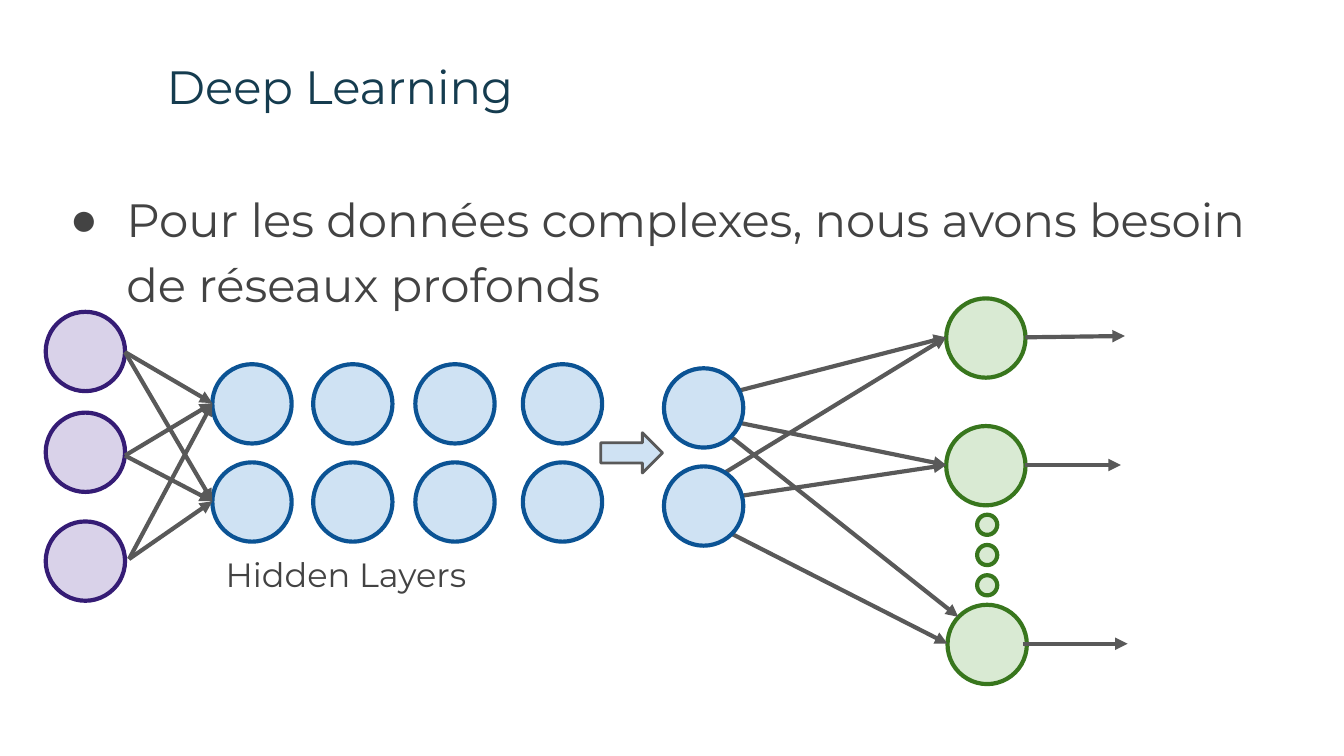
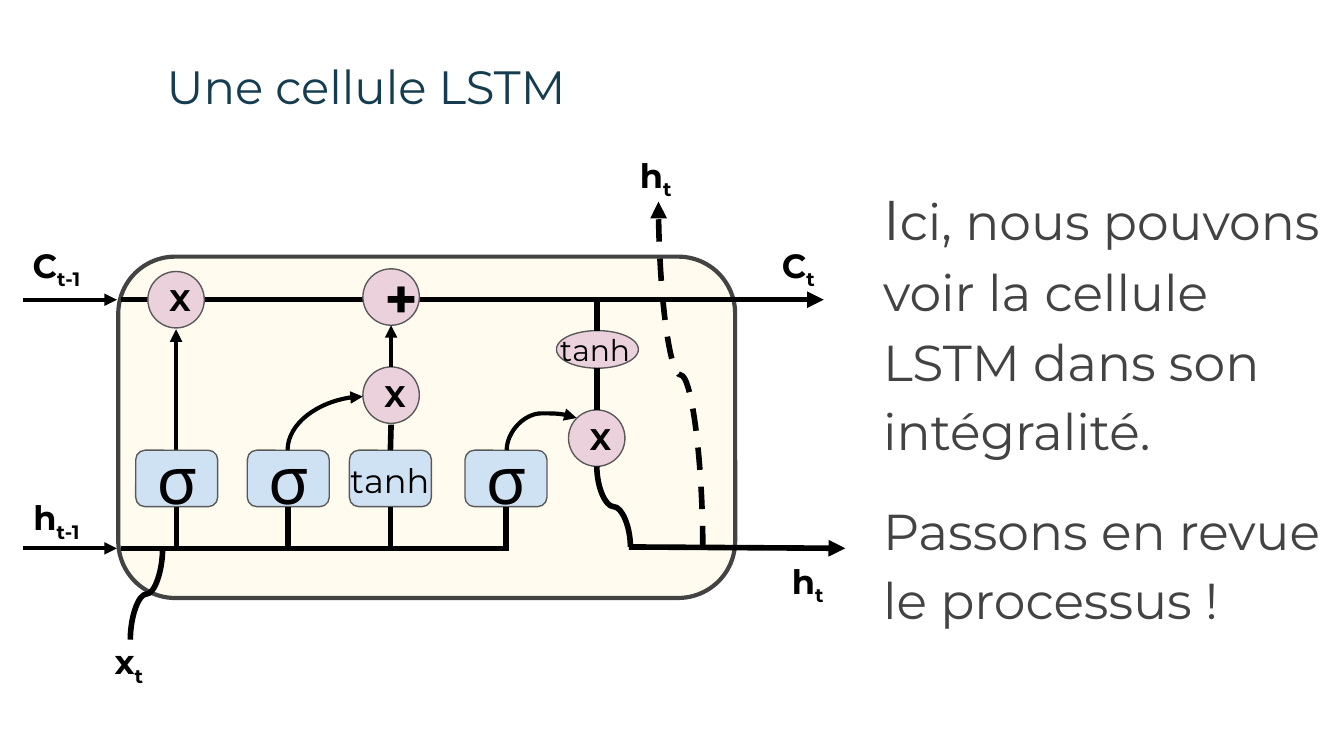
"""Build two slides: a deep network and an LSTM cell."""
from dataclasses import dataclass
from itertools import product

from lxml import etree
from pptx import Presentation
from pptx import util as u
from pptx.dml.color import RGBColor
from pptx.enum import dml, shapes, text
from pptx.oxml.ns import qn


@dataclass(frozen=True)
class Theme:
    font: str = "Montserrat"
    title: str = "153C4F"
    body: str = "434343"
    ink: str = "000000"
    grey: str = "595959"
    heading_size: int = 25
    label_size: int = 18
    input: tuple = ("D9D2E9", "351C75", 2.25)
    hidden: tuple = ("CFE2F3", "0B5394", 2.25)
    output: tuple = ("D9EAD3", "38761D", 2.25)
    flow: tuple = ("CFE2F3", "595959", 1.5)
    cell: tuple = ("FFFCEF", "434343", 2.25)
    gate: tuple = ("CFE2F3", "595959", 0.75)
    operator: tuple = ("EAD1DC", "595959", 0.75)


THEME = Theme()
SLIDE_SIZE = (10, 5.625)
TITLE_BOX = (1.14, 0.32, 8.52, 0.63)
OVAL = shapes.MSO_SHAPE.OVAL
ROUNDED = shapes.MSO_SHAPE.ROUNDED_RECTANGLE
LEFT, CENTER = text.PP_ALIGN.LEFT, text.PP_ALIGN.CENTER

NETWORK_TITLE = "Deep Learning"
NETWORK_BODY = "Pour les données complexes, nous avons besoin de réseaux profonds"
NODE = 0.59
DOT, DOT_LEFT, DOT_TOP, DOT_STEP, DOT_COUNT = 0.15, 7.27, 3.83, 0.225, 3
OUTPUT_NODES = [(7.04, 2.22), (7.04, 3.17), (7.05, 4.5)]
INPUT_NODES = [(0.34, top) for top in (2.32, 3.07, 3.88)]
HIDDEN_NODES = [*product((1.58, 2.33, 3.09, 3.89), (2.71, 3.44)), (4.94, 2.74), (4.94, 3.47)]
INPUT_STARTS = [(0.93, 2.62), (0.93, 3.39), (0.96, 4.16)]
HIDDEN_ENDS = [(1.58, 3), (1.58, 3.73)]
HIDDEN_STARTS = [(4.98, 3.04), (4.98, 3.77)]
OUTPUT_ENDS = [(7.04, 2.51), (7.04, 3.46)]
LAST_OUTPUT_EDGES = [((5.44, 3.25), (7.13, 4.59)), ((5.44, 3.97), (7.05, 4.79))]
EXITS = [((7.63, 2.51), (8.37, 2.5)), ((7.63, 3.46), (8.34, 3.46)), ((7.61, 4.79), (8.39, 4.79))]

LSTM_TITLE = "Une cellule LSTM"
LSTM_BODY = [
    [("I", 30), ("ci, nous pouvons voir la cellule LSTM dans son intégralité.", 27)],
    [("Passons en revue le processus !", 27)],
]
CELL_BOX = (0.88, 1.91, 4.59, 2.54)
STATE_Y, HIDDEN_Y = 2.23, 4.08
GATE_TOP, GATE_SIZE = 3.35, (0.61, 0.42)
GATES = {"forget": (1.01, "σ"), "input": (1.84, "σ"), "candidate": (2.6, ""), "output": (3.46, "σ")}
OPERATORS = [(1.1, 2.02, "X", 16), (2.7, 2.73, "X", 16), (2.7, 2, "+", 30), (4.23, 3.05, "X", 16)]
OPERATOR_SIZE = 0.42
TANH_OVAL = (4.14, 2.46, 0.61, 0.28)
TANH_LABELS = [(2.51, 3.32, 18), (4.07, 2.37, 16)]
BACK_WIRES = [
    ((0.17, STATE_Y), (0.87, STATE_Y), 2.25, True),
    ((0.17, HIDDEN_Y), (0.87, HIDDEN_Y), 2.25, True),
    ((0.9, STATE_Y), (6.13, STATE_Y), 3, True),
    ((4.68, 4.07), (6.29, HIDDEN_Y), 3, True),
    ((0.9, HIDDEN_Y), (3.75, HIDDEN_Y), 3, False),
    ((1.31, 4.07), (1.31, 2.45), 2.25, True),
]
FRONT_WIRES = [
    ((2.91, 2.73), (2.91, 2.42), 2.25, True),
    ((4.44, 3.05), (4.44, 2.74), 3, False),
    ((4.44, 2.46), (4.44, STATE_Y), 3, False),
]
CURVES = [
    dict(start=(5.23, 4.08), end=(4.9, 1.5), width=3, arrow=True, dashed=True),
    dict(start=(0.97, 4.76), end=(1.21, 4.08), width=3),
    dict(start=(2.14, 3.35), end=(2.7, 2.95), width=2.25, arrow=True, preset="curvedConnector2"),
    dict(start=(3.77, 3.35), end=(4.29, 3.11), width=2.25, arrow=True, bend=1.144),
    dict(start=(4.44, 3.47), end=(4.69, 4.07), width=3),
]
STATE_LABELS = [
    (0.07, 3.6, "h", "t-1"), (0.07, 1.72, "C", "t-1"), (5.59, 1.72, "C", "t"),
    (5.66, 4.07, "h", "t"), (4.53, 1.05, "h", "t"), (0.61, 4.67, "x", "t"),
]


def inches(*lengths):
    return [u.Inches(length) for length in lengths]


def color(value):
    return RGBColor.from_string(value)


def style_paragraph(paragraph, size, ink, bold=False, align=LEFT):
    paragraph.alignment = align
    font = paragraph.font
    font.name, font.size, font.bold = THEME.font, u.Pt(size), bold
    font.color.rgb = color(ink)


def set_bullet(paragraph, character=None):
    properties = paragraph._p.get_or_add_pPr()
    properties.set("marL", str(u.Inches(0.5 if character else 0)))
    properties.set("indent", str(u.Inches(-0.42 if character else 0)))
    if character:
        bullet_color = etree.SubElement(properties, qn("a:buClr"))
        etree.SubElement(bullet_color, qn("a:srgbClr"), val=THEME.body)
        etree.SubElement(properties, qn("a:buChar"), char=character)
    else:
        etree.SubElement(properties, qn("a:buNone"))


def place(shape, box):
    shape.left, shape.top, shape.width, shape.height = inches(*box)


def add_titled_slide(presentation, title, body_box):
    slide = presentation.slides.add_slide(presentation.slide_layouts[1])
    heading, body = slide.shapes.title, slide.placeholders[1]
    place(heading, TITLE_BOX)
    place(body, body_box)
    heading.text_frame.text = title
    style_paragraph(heading.text_frame.paragraphs[0], THEME.heading_size, THEME.title)
    for frame in (heading.text_frame, body.text_frame):
        frame.auto_size = text.MSO_AUTO_SIZE.NONE
        frame.margin_left = frame.margin_right = u.Inches(0.1)
        frame.margin_top = frame.margin_bottom = u.Inches(0.1)
    return slide, body.text_frame


def add_body_paragraph(paragraph, runs, bullet=None, gap=0):
    set_bullet(paragraph, bullet)
    style_paragraph(paragraph, runs[-1][1], THEME.body)
    paragraph.line_spacing = 1.15
    paragraph.space_before = paragraph.space_after = u.Pt(gap)
    for words, size in runs:
        run = paragraph.add_run()
        run.text, run.font.size = words, u.Pt(size)


def set_text(shape, words, size, ink, bold=False, align=LEFT, subscript=""):
    frame = shape.text_frame
    frame.word_wrap = True
    frame.margin_left = frame.margin_right = u.Inches(0.1)
    frame.margin_top = frame.margin_bottom = u.Inches(0.1)
    paragraph = frame.paragraphs[0]
    style_paragraph(paragraph, size, ink, bold, align)
    paragraph.add_run().text = words
    if subscript:
        run = paragraph.add_run()
        run.text = subscript
        run._r.get_or_add_rPr().set("baseline", "-25000")
    return paragraph


def add_label(slide, box, words, size, ink, **options):
    return set_text(slide.shapes.add_textbox(*inches(*box)), words, size, ink, **options)


def add_figure(slide, kind, box, style):
    fill, outline, width = style
    shape = slide.shapes.add_shape(kind, *inches(*box))
    shape.shadow.inherit = False
    shape.fill.solid()
    shape.fill.fore_color.rgb = color(fill)
    shape.line.color.rgb = color(outline)
    shape.line.width = u.Pt(width)
    return shape


def add_wire(slide, start, end, width=2.25, arrow=False, ink=THEME.ink, dashed=False,
             kind=shapes.MSO_CONNECTOR.STRAIGHT):
    wire = slide.shapes.add_connector(kind, *inches(*start, *end))
    wire.line.color.rgb = color(ink)
    wire.line.width = u.Pt(width)
    if dashed:
        wire.line.dash_style = dml.MSO_LINE.DASH
    if arrow:
        etree.SubElement(wire.line._get_or_add_ln(), qn("a:tailEnd"), type="triangle")
    etree.SubElement(wire._element.spPr, qn("a:effectLst"))
    return wire


def add_curve(slide, start, end, preset="curvedConnector3", bend=None, **options):
    """Draw a curve that leaves its start vertically."""
    wire = add_wire(slide, start, end, kind=shapes.MSO_CONNECTOR.CURVE, **options)
    across, down = end[0] - start[0], end[1] - start[1]
    width, height = abs(down), abs(across)
    place(wire, ((start[0] + end[0] - width) / 2, (start[1] + end[1] - height) / 2, width, height))
    transform = wire._element.spPr.find(qn("a:xfrm"))
    transform.set("rot", str((270 if across > 0 else 90) * 60000))
    transform.set("flipH", str(int((across > 0) == (down > 0))))
    transform.set("flipV", "0")
    geometry = wire._element.spPr.find(qn("a:prstGeom"))
    geometry.set("prst", preset)
    if bend:
        etree.SubElement(geometry.find(qn("a:avLst")), qn("a:gd"),
                         name="adj1", fmla=f"val {round(bend * 100000)}")


def add_nodes(slide, corners, style, size=NODE):
    for corner in corners:
        add_figure(slide, OVAL, (*corner, size, size), style)


def add_edges(slide, edges):
    for start, end in edges:
        add_wire(slide, start, end, arrow=True, ink=THEME.grey)


def build_network(presentation):
    slide, body = add_titled_slide(presentation, NETWORK_TITLE, (0.34, 1.26, 9.52, 1.14))
    add_body_paragraph(body.paragraphs[0], [(NETWORK_BODY, THEME.heading_size)], bullet="●")
    add_nodes(slide, OUTPUT_NODES, THEME.output)
    add_edges(slide, [*product(HIDDEN_STARTS, OUTPUT_ENDS), *LAST_OUTPUT_EDGES, *EXITS])
    add_nodes(slide, HIDDEN_NODES, THEME.hidden)
    add_nodes(slide, INPUT_NODES, THEME.input)
    add_edges(slide, product(INPUT_STARTS, HIDDEN_ENDS))
    dots = [(DOT_LEFT, DOT_TOP + DOT_STEP * row) for row in range(DOT_COUNT)]
    add_nodes(slide, dots, THEME.output, DOT)
    add_figure(slide, shapes.MSO_SHAPE.RIGHT_ARROW, (4.47, 3.22, 0.46, 0.3), THEME.flow)
    label = add_label(slide, (1.58, 4.02, 2.14, 0.59), "Hidden Layers", THEME.label_size, THEME.body)
    label.space_after = u.Pt(16)


def build_lstm(presentation):
    slide, body = add_titled_slide(presentation, LSTM_TITLE, (6.47, 1.2, 3.53, 3.8))
    for index, runs in enumerate(LSTM_BODY):
        paragraph = body.add_paragraph() if index else body.paragraphs[0]
        add_body_paragraph(paragraph, runs, gap=16 * index)
    add_figure(slide, ROUNDED, CELL_BOX, THEME.cell)
    for wire in BACK_WIRES:
        add_wire(slide, *wire)
    gates = {}
    for name, (left, symbol) in GATES.items():
        gate = gates[name] = add_figure(slide, ROUNDED, (left, GATE_TOP, *GATE_SIZE), THEME.gate)
        if symbol:
            set_text(gate, symbol, 35, THEME.ink, align=CENTER)
        middle = left + GATE_SIZE[0] / 2
        stem = add_wire(slide, (middle, 4.1), (middle, GATE_TOP + GATE_SIZE[1]),
                        2.25 if name == "forget" else 3)
        stem.end_connect(gate, 2)
    for left, top, symbol, size in OPERATORS:
        circle = add_figure(slide, OVAL, (left, top, OPERATOR_SIZE, OPERATOR_SIZE), THEME.operator)
        set_text(circle, symbol, size, THEME.ink, bold=True)
    add_figure(slide, OVAL, TANH_OVAL, THEME.operator)
    for wire in FRONT_WIRES:
        add_wire(slide, *wire)
    candidate_wire = add_wire(slide, (2.91, GATE_TOP), (2.91, 3.16), 3)
    candidate_wire.begin_connect(gates["candidate"], 0)
    for curve in CURVES:
        add_curve(slide, **curve)
    for left, top, size in TANH_LABELS:
        add_label(slide, (left, top, 0.83, 0.42), "tanh", size, THEME.ink)
    for left, top, symbol, subscript in STATE_LABELS:
        add_label(slide, (left, top, 0.7, 0.45), symbol, THEME.label_size, THEME.ink,
                  bold=True, align=CENTER, subscript=subscript)


def main():
    presentation = Presentation()
    presentation.slide_width, presentation.slide_height = inches(*SLIDE_SIZE)
    build_network(presentation)
    build_lstm(presentation)
    presentation.save("out.pptx")


if __name__ == "__main__":
    main()
